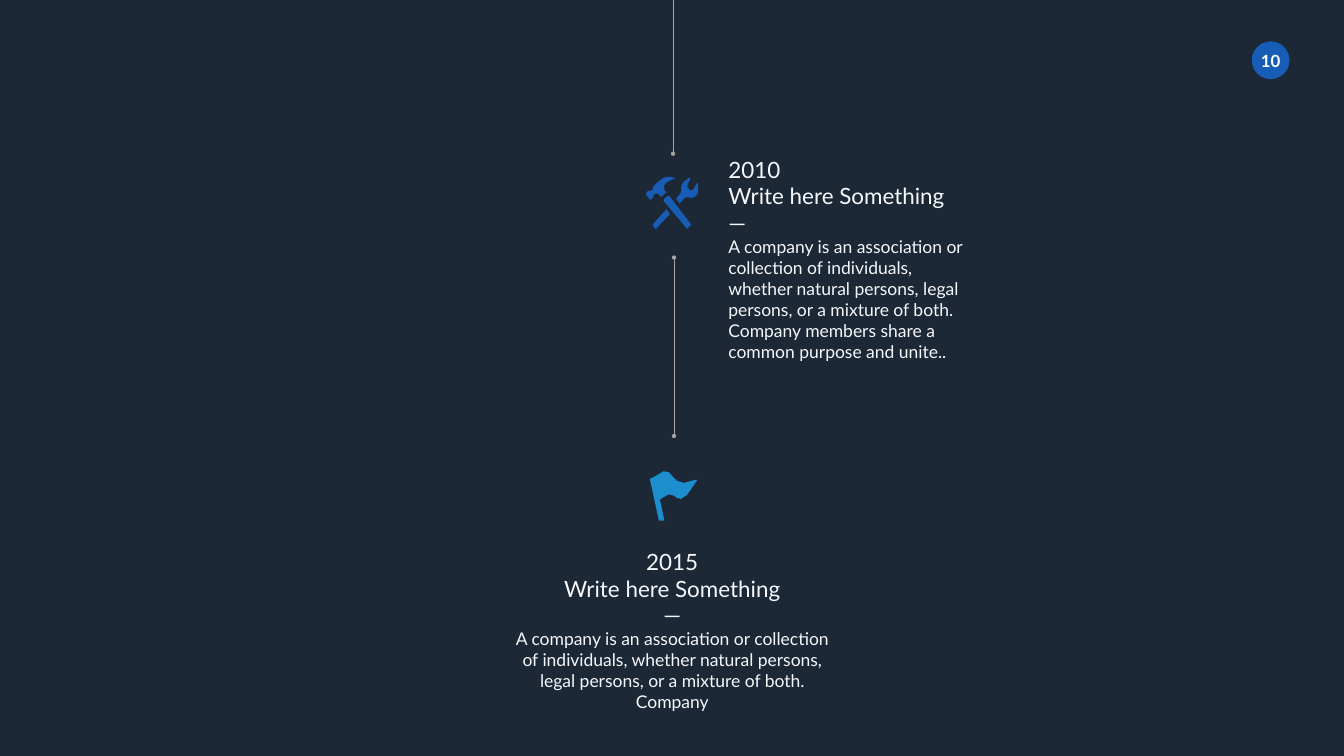
from lxml import etree
from pptx import Presentation, util as u
from pptx.dml.color import RGBColor
from pptx.enum import shapes as s, text as t
from pptx.oxml import ns

Pt = u.Pt
rgb = RGBColor.from_string
NAVY, BLUE, SKY, GREY, PALE, WHITE = "1C2835", "175CB5", "1C8DCD", "A6A6A6", "F6F7FA", "FFFFFF"
STEPS = 6


def trace(start, parts):
    """Return the points of an outline; parts of six numbers are Bezier curves."""
    pts = [start]
    for part in parts:
        if len(part) == 2:
            pts.append(part)
            continue
        x, y = pts[-1]
        a, b, c, d, e, f = part
        for i in range(1, STEPS + 1):
            k = i / STEPS
            m = 1 - k
            w = m ** 3, 3 * m * m * k, 3 * m * k * k, k ** 3
            pts.append((w[0] * x + w[1] * a + w[2] * c + w[3] * e,
                        w[0] * y + w[1] * b + w[2] * d + w[3] * f))
    return pts


deck = Presentation()
deck.slide_width, deck.slide_height = Pt(1919.52), Pt(1080)
slide = deck.slides.add_slide(deck.slide_layouts[6])
slide.background.fill.solid()
slide.background.fill.fore_color.rgb = rgb(NAVY)
items = slide.shapes

# Page number
badge = items.add_shape(s.MSO_SHAPE.OVAL, Pt(1787.76), Pt(59.04), Pt(54), Pt(54))
badge.shadow.inherit = False
badge.fill.solid()
badge.fill.fore_color.rgb = rgb(BLUE)
badge.line.fill.background()
page = items.add_textbox(Pt(1785.6), Pt(64.8), Pt(58.32), Pt(43.92))
frame = page.text_frame
frame.word_wrap = False
frame.margin_left = frame.margin_right = Pt(14.4)
frame.margin_top = frame.margin_bottom = Pt(7.2)
frame.text = "10"
para = frame.paragraphs[0]
para.alignment = t.PP_ALIGN.CENTER
font = para.runs[0].font
font.name, font.size, font.bold = "Lato", Pt(24), True
font.color.rgb = rgb(WHITE)

# Timeline: x, start, end, which ends have a dot
for x, top, end, dots in [
    (962.64, 367.92, 622.8, ["headEnd", "tailEnd"]),
    (961.2, 219.6, 0, ["headEnd"]),
]:
    line = items.add_connector(s.MSO_CONNECTOR.STRAIGHT, Pt(x), Pt(top), Pt(x), Pt(end))
    line.line.color.rgb = rgb(GREY)
    line.line.width = Pt(0.5)
    for dot in dots:
        etree.SubElement(line.line._get_or_add_ln(), ns.qn("a:" + dot), type="oval")
    etree.SubElement(line._element.spPr, ns.qn("a:effectLst"))

# Icons: outlines in units of 0.72 pt, from the icon's corner
hammer = ((18, 36), [
    (21, 32, 25, 34, 31, 40), (33, 42, 33, 40, 33, 40), (34, 40, 40, 32, 42, 32),
    (42, 30), (40, 30, 38, 28, 38, 26), (29, 11, 64, 3, 59, 3),
    (55, 1, 44, 1, 42, 1), (36, 3, 27, 9, 23, 13), (18, 18, 16, 20, 16, 20),
    (14, 22, 16, 26, 12, 28), (8, 30, 6, 28, 4, 30), (4, 32, 3, 32, 1, 34),
    (1, 36), (8, 44), (8, 46, 10, 46, 12, 46), (12, 44, 14, 42, 16, 42),
    (16, 42, 16, 36, 18, 36)])
handle = ((47, 38), [
    (46, 38), (38, 44), (36, 48), (81, 102), (81, 104, 83, 104, 85, 102),
    (90, 98), (90, 96, 90, 94, 90, 94)])
wrench = ((105, 16), [
    (104, 11, 104, 13, 102, 13), (102, 16, 98, 20, 98, 22), (96, 26, 92, 30, 87, 26),
    (81, 20, 83, 18, 85, 16), (85, 13, 89, 7, 89, 5), (90, 5, 89, 3, 87, 3),
    (85, 5, 74, 9, 72, 18), (70, 24, 74, 30, 68, 36), (61, 44), (68, 54), (77, 44),
    (79, 42, 83, 40, 87, 42), (96, 44, 100, 40, 104, 34), (105, 28, 105, 18, 105, 16)])
grip = ((16, 94), [
    (14, 96, 14, 98, 16, 98), (19, 104), (21, 104, 23, 104, 23, 102), (49, 75), (42, 65)])
flag = ((100, 52), [
    (41, 79, 65, 9, 18, 46), (9, 50), (27, 133), (38, 133), (29, 91),
    (71, 54, 54, 133, 102, 54), (104, 54, 102, 52, 100, 52)])

for parts, top, hue in [
    ([hammer, handle, wrench, grip], 252, BLUE),
    ([flag], 648, SKY),
]:
    pen = None
    for part in parts:
        pts = trace(*part)
        if pen is None:
            pen = items.build_freeform(*pts[0], scale=Pt(0.72))
        else:
            pen.move_to(*pts[0])
        pen.add_line_segments(pts[1:], close=True)
    icon = pen.convert_to_shape(Pt(921.6), Pt(top))
    icon.shadow.inherit = False
    icon.fill.solid()
    icon.fill.fore_color.rgb = rgb(hue)
    icon.line.fill.background()

# Milestones
about = ("A company is an association or collection of individuals, whether natural "
         "persons, legal persons, or a mixture of both. Company")
for box, align, year, body in [
    ((1033.2, 218.88, 352.08, 305.28), t.PP_ALIGN.LEFT, "2010",
     about + " members share a common purpose and unite.."),
    ((725.76, 779.04, 468.72, 214.56), t.PP_ALIGN.CENTER, "2015", about),
]:
    frame = items.add_textbox(*map(Pt, box)).text_frame
    frame.word_wrap = True
    frame.text = "\n".join([year, "Write here Something", "—", body])
    for para, size in zip(frame.paragraphs, [32, 32, 32, 25]):
        para.alignment = align
        font = para.runs[0].font
        font.name, font.size = "Lato", Pt(size)
        font.color.rgb = rgb(PALE)

deck.save("out.pptx")
